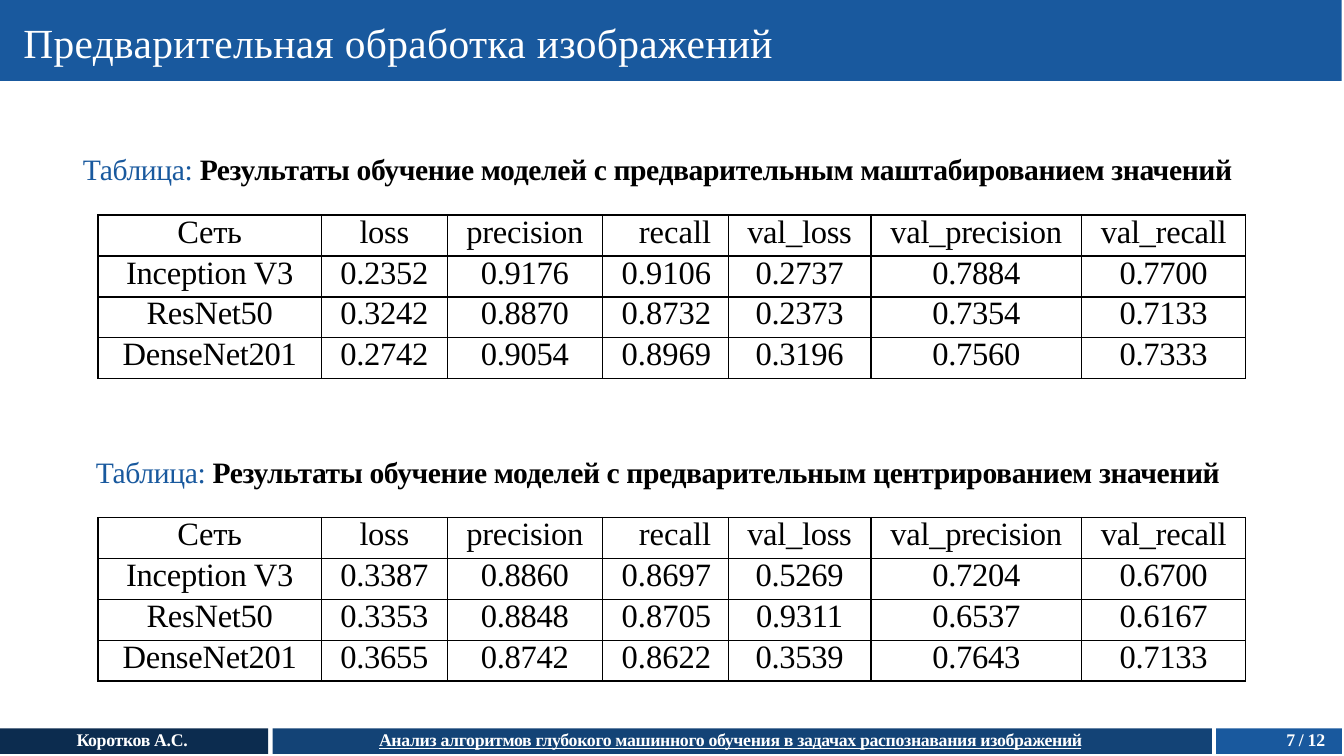
from lxml import etree
from pptx import Presentation
from pptx import util as u
from pptx.dml.color import RGBColor
from pptx.enum import shapes, text
from pptx.oxml import ns

FONT = "Times New Roman"
COLORS = {"blue": "19599E", "mid": "134376", "navy": "0C2C4F",
          "white": "FFFFFF", "black": "000000"}
HEADER = ["Сеть", "loss", "precision", "recall", "val_loss", "val_precision", "val_recall"]
COL_WIDTHS = [1.05, 0.59, 0.73, 0.59, 0.67, 0.99, 0.77]
ROW_HEIGHT = 0.77 / 4
RECALL = HEADER.index("recall")

SCALED = [
    ["Inception V3", "0.2352", "0.9176", "0.9106", "0.2737", "0.7884", "0.7700"],
    ["ResNet50", "0.3242", "0.8870", "0.8732", "0.2373", "0.7354", "0.7133"],
    ["DenseNet201", "0.2742", "0.9054", "0.8969", "0.3196", "0.7560", "0.7333"],
]
CENTERED = [
    ["Inception V3", "0.3387", "0.8860", "0.8697", "0.5269", "0.7204", "0.6700"],
    ["ResNet50", "0.3353", "0.8848", "0.8705", "0.9311", "0.6537", "0.6167"],
    ["DenseNet201", "0.3655", "0.8742", "0.8622", "0.3539", "0.7643", "0.7133"],
]


def rgb(name):
    return RGBColor.from_string(COLORS[name])


def add_run(p, words, size, color, spacing=-0.1, **formats):
    r = p.add_run()
    r.text = words
    r.font.color.rgb = rgb(color)
    for name, value in {"name": FONT, "size": u.Pt(size), **formats}.items():
        setattr(r.font, name, value)
    r._r.get_or_add_rPr().set("spc", str(round(spacing * 100)))


def add_bar(s, left, top, width, height, color):
    sp = s.shapes.add_shape(shapes.MSO_SHAPE.RECTANGLE,
                            *map(u.Inches, (left, top, width, height)))
    sp.shadow.inherit = False
    sp.fill.solid()
    sp.fill.fore_color.rgb = rgb(color)
    sp.line.fill.background()


def add_text(s, left, top, width, height, inset_top=0, inset_left=0.01, before=0.3):
    """Add an empty text box and return its paragraph."""
    tf = s.shapes.add_textbox(*map(u.Inches, (left, top, width, height))).text_frame
    margins = {"margin_left": inset_left, "margin_top": inset_top,
               "margin_right": 0, "margin_bottom": 0}
    for name, value in margins.items():
        setattr(tf, name, u.Inches(value))
    tf.word_wrap = True
    p = tf.paragraphs[0]
    p.space_before = u.Pt(before)
    return p


def add_caption(s, left, top, width, method):
    p = add_text(s, left, top, width, 0.19, inset_top=0.01, before=0.9)
    add_run(p, "Таблица: ", 10, "blue")
    add_run(p, f"Результаты обучение моделей с предварительным {method} значений",
            10, "black", bold=True)


def add_borders(cell):
    tcPr = cell._tc.get_or_add_tcPr()
    for side in ("lnL", "lnR", "lnT", "lnB"):
        ln = etree.SubElement(tcPr, ns.qn(f"a:{side}"), w=str(u.Pt(0.5)))
        fill = etree.SubElement(ln, ns.qn("a:solidFill"))
        etree.SubElement(fill, ns.qn("a:srgbClr"), val=COLORS["black"])


def fill_cell(cell, words, is_recall):
    add_borders(cell)
    cell.fill.background()
    margins = {"margin_left": 0, "margin_top": 0, "margin_bottom": 0,
               "margin_right": 0.08 if is_recall else 0}
    for name, value in margins.items():
        setattr(cell, name, u.Inches(value))
    p = cell.text_frame.paragraphs[0]
    p.alignment = text.PP_ALIGN.RIGHT if is_recall else text.PP_ALIGN.CENTER
    p.line_spacing = u.Pt(11.9)
    add_run(p, words, 11, "black", spacing=0 if is_recall else -0.1)


def add_results(s, top, results):
    rows = [HEADER] + results
    frame = s.shapes.add_table(len(rows), len(HEADER), u.Inches(0.46), u.Inches(top),
                               u.Inches(sum(COL_WIDTHS)), u.Inches(ROW_HEIGHT * len(rows)))
    table = frame.table
    table.first_row = table.horz_banding = False
    for column, width in zip(table.columns, COL_WIDTHS):
        column.width = u.Inches(width)
    for i, row in enumerate(rows):
        table.rows[i].height = u.Inches(ROW_HEIGHT)
        for j, words in enumerate(row):
            fill_cell(table.cell(i, j), words, j == RECALL)


def add_footer(s):
    top, height = 3.42, 0.12
    for left, width, color in [(0, 1.26, "navy"), (1.28, 4.41, "mid"), (5.71, 0.59, "blue")]:
        add_bar(s, left, top, width, height, color)
    style = {"size": 6, "color": "white", "bold": True}
    add_run(add_text(s, 0.35, top, 0.57, height), "Коротков А.С.", **style)
    p = add_text(s, 1.77, top, 3.44, height)
    add_run(p, "Анализ алгоритмов глубокого машинного обучения в задачах распознавания изображений",
            underline=True, **style)
    add_run(add_text(s, 6.01, top, 0.27, height, inset_left=0.03), "7 / 12", **style)


def main():
    prs = Presentation()
    prs.slide_width, prs.slide_height = u.Inches(6.31), u.Inches(3.55)
    s = prs.slides.add_slide(prs.slide_layouts[6])
    add_bar(s, 0, 0, 6.3, 0.38, "blue")
    title = add_text(s, 0.1, 0.06, 3.57, 0.27, inset_top=0.02, before=1.4)
    add_run(title, "Предварительная обработка изображений", 14, "white", spacing=0.1)
    add_caption(s, 0.38, 0.7, 5.54, "маштабированием")
    add_results(s, 1.01, SCALED)
    add_caption(s, 0.44, 2.12, 5.42, "центрированием")
    add_results(s, 2.43, CENTERED)
    add_footer(s)
    prs.save("out.pptx")


if __name__ == "__main__":
    main()
